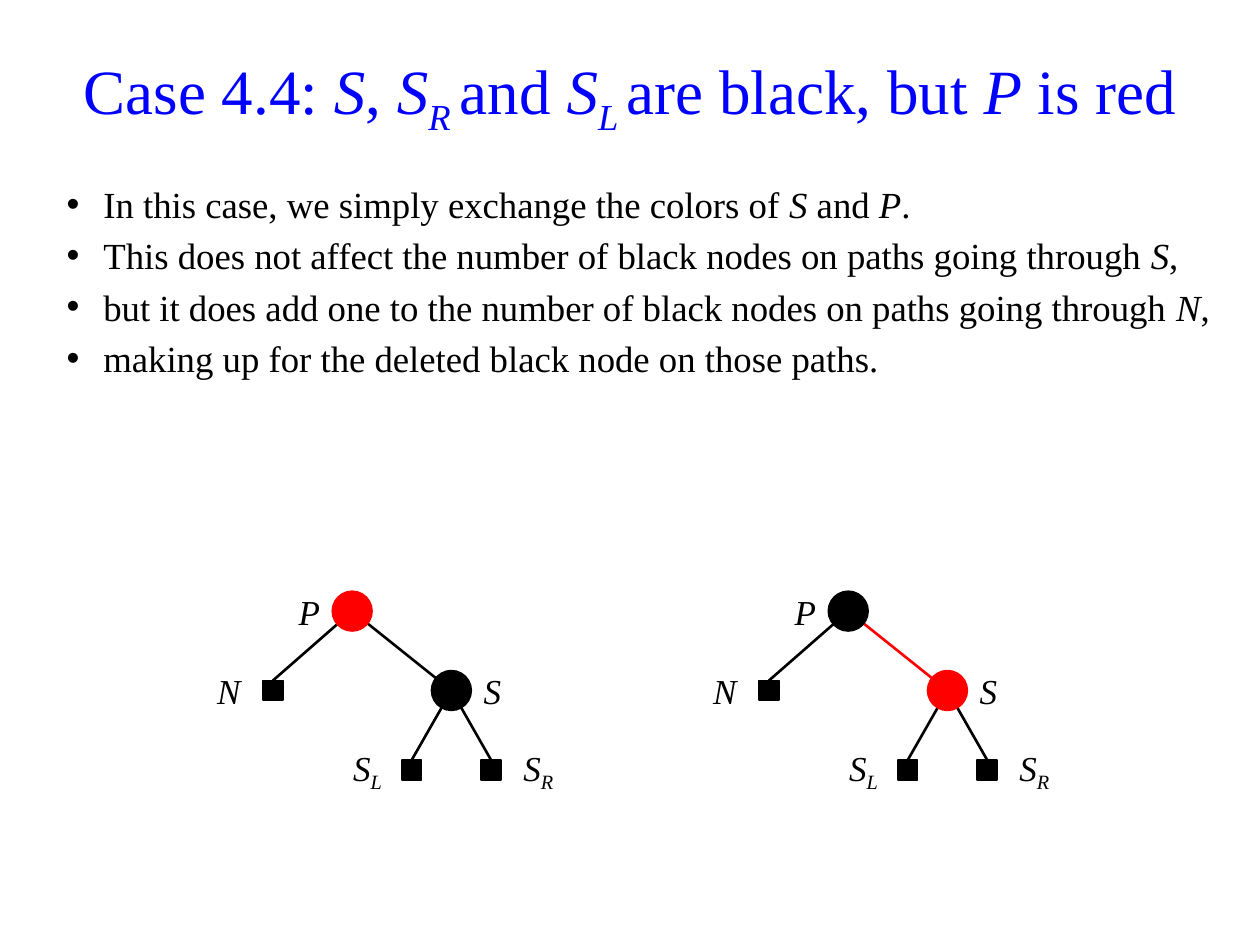
"""Build the slide on deletion case 4.4 of a red-black tree."""
from dataclasses import dataclass

from lxml.etree import SubElement
from pptx import Presentation
from pptx.dml.color import RGBColor
from pptx.enum.shapes import MSO_CONNECTOR as Link, MSO_SHAPE as Kind
from pptx.enum.text import MSO_ANCHOR as Anchor, MSO_AUTO_SIZE as Fit, PP_ALIGN as Align
from pptx.oxml.ns import qn
from pptx.util import Cm, Pt

FONT = "Times New Roman"
BLACK, RED, BLUE = "000000", "FF0000", "0000FF"
STEP = 1.6
DISC, LEAF = 0.8, 0.4
BOX_W, BOX_H, GAP = 1.2, 1.6, 0.4

Runs = list[tuple[str, str]]

TITLE: Runs = [
    ("Case 4.4: ", ""), ("S", "i"), (", ", ""), ("S", "i"), ("R ", "is"),
    ("and ", ""), ("S", "i"), ("L ", "is"), ("are black, but ", ""),
    ("P", "i"), (" is red", ""),
]
LINES: list[Runs] = [
    [("In this case, we simply exchange the colors of ", ""), ("S", "i"),
     (" and ", ""), ("P", "i"), (".", "")],
    [("This does not affect the number of black nodes on paths going through ", ""),
     ("S", "i"), (",", "")],
    [("but it does add one to the number of black nodes on paths going through ", ""),
     ("N", "i"), (",", "")],
    [("making up for the deleted black node on those paths.", "")],
]


@dataclass
class Node:
    name: str
    x: float
    row: int
    top: str = ""
    leaf: bool = False
    right: bool = False
    sub: str = ""


@dataclass
class Tree:
    x: float
    y: float
    reds: str
    edge: str


NODES = [
    Node("P", 0, 0),
    Node("N", -1.6, 1, "P", leaf=True),
    Node("S", 2, 1, "P", right=True),
    Node("SL", 1.2, 2, "S", leaf=True, sub="L"),
    Node("SR", 2.8, 2, "S", leaf=True, right=True, sub="R"),
]
TREES = [Tree(7.1, 12.32, "P", BLACK), Tree(17.1, 12.32, "S", RED)]


def tint(code: str) -> RGBColor:
    return RGBColor.from_string(code)


def write(par, runs: Runs, size: float, hue: str) -> None:
    for text, style in runs:
        run = par.add_run()
        run.text = text
        font = run.font
        font.name, font.size = FONT, Pt(size)
        font.italic = "i" in style
        font.color.rgb = tint(hue)
        if "s" in style:
            run._r.get_or_add_rPr().set("baseline", "-25000")


def place(shape, x: float, y: float, w: float, h: float) -> None:
    shape.left, shape.top, shape.width, shape.height = Cm(x), Cm(y), Cm(w), Cm(h)


def head(slide) -> None:
    shape = slide.shapes.title
    place(shape, 1.09, 0.71, 23.22, 2.39)
    frame = shape.text_frame
    frame.auto_size = Fit.NONE
    frame.vertical_anchor = Anchor.MIDDLE
    par = frame.paragraphs[0]
    par.alignment = Align.CENTER
    write(par, TITLE, 36, BLUE)


def body(slide) -> None:
    shape = slide.placeholders[1]
    place(shape, 1.09, 3.53, 23.6, 4.39)
    frame = shape.text_frame
    frame.auto_size = Fit.NONE
    frame.margin_right = Cm(0.1)
    for i, runs in enumerate(LINES):
        par = frame.add_paragraph() if i else frame.paragraphs[0]
        props = par._p.get_or_add_pPr()
        props.set("marL", str(Cm(0.74)))
        props.set("indent", str(-Cm(0.74)))
        write(par, runs, 21, BLACK)


def spot(tree: Tree, node: Node) -> tuple[float, float]:
    return tree.x + node.x, tree.y + STEP * node.row


def dot(slide, tree: Tree, node: Node):
    x, y = spot(tree, node)
    size = LEAF if node.leaf else DISC
    kind = Kind.RECTANGLE if node.leaf else Kind.OVAL
    shape = slide.shapes.add_shape(
        kind, Cm(x - size / 2), Cm(y - size / 2), Cm(size), Cm(size))
    hue = tint(RED if node.name in tree.reds else BLACK)
    shape.fill.solid()
    shape.fill.fore_color.rgb = hue
    shape.line.color.rgb = hue
    shape.line.width = Pt(1)
    shape.shadow.inherit = False
    return shape


def edge(slide, tree: Tree, top: Node, node: Node):
    x1, y1 = spot(tree, top)
    x2, y2 = spot(tree, node)
    line = slide.shapes.add_connector(Link.STRAIGHT, Cm(x1), Cm(y1), Cm(x2), Cm(y2))
    line.line.color.rgb = tint(BLACK if node.leaf else tree.edge)
    line.line.width = Pt(1.5)
    SubElement(line._element.spPr, qn("a:effectLst"))
    return line


def label(slide, tree: Tree, node: Node) -> None:
    x, y = spot(tree, node)
    left = x + GAP if node.right else x - GAP - BOX_W
    box = slide.shapes.add_textbox(Cm(left), Cm(y - BOX_H / 2), Cm(BOX_W), Cm(BOX_H))
    frame = box.text_frame
    frame.word_wrap = True
    frame.vertical_anchor = Anchor.MIDDLE
    if node.sub == "L":
        frame.margin_right = Cm(0.2)
    par = frame.paragraphs[0]
    par.alignment = Align.LEFT if node.right else Align.RIGHT
    runs = [(node.name[0], "i")]
    if node.sub:
        runs.append((node.sub, "is"))
    write(par, runs, 20, BLACK)


def draw(slide, tree: Tree) -> None:
    tops = {node.name: node for node in NODES}
    lines = {n.name: edge(slide, tree, tops[n.top], n) for n in NODES if n.top}
    for node in NODES:
        shape = dot(slide, tree, node)
        if node.leaf:
            lines[node.name].end_connect(shape, 0)
        label(slide, tree, node)


def main() -> None:
    deck = Presentation()
    deck.slide_width, deck.slide_height = Cm(25.4), Cm(19.05)
    slide = deck.slides.add_slide(deck.slide_layouts[1])
    head(slide)
    body(slide)
    for tree in TREES:
        draw(slide, tree)
    deck.save("out.pptx")


if __name__ == "__main__":
    main()
